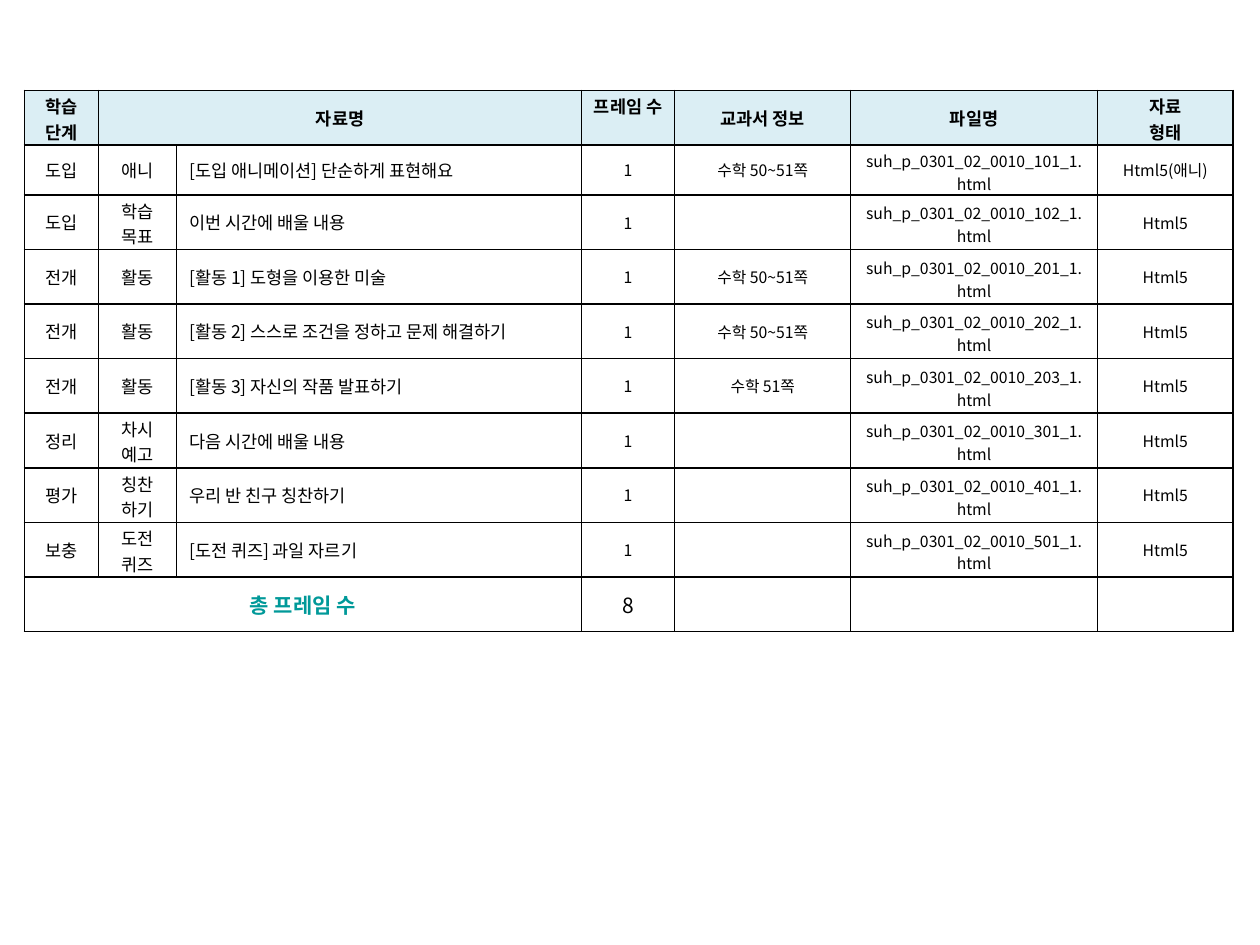
from lxml import etree
from pptx import Presentation
from pptx.dml.color import RGBColor
from pptx.enum import text
from pptx.oxml.ns import qn
from pptx.util import Cm, Pt

FONT = "Noto Sans CJK KR"
BLACK = RGBColor(0x00, 0x00, 0x00)
TEAL = RGBColor(0x00, 0x99, 0x99)
PALE_BLUE = RGBColor(0xDB, 0xEE, 0xF4)

COL_WIDTHS = [1.5, 1.57, 8.16, 1.88, 3.55, 4.97, 2.74]
ROW_HEIGHTS = [1.1, 1.01] + [1.1] * 8
BODY_SIZES = [10, 10, 10, 9, 9, 9, 9]
TITLE_COL, FILE_COL = 2, 5
LINE_HEIGHT = 1.46  # line height of the font, in font sizes
TOP_MARGIN = 0.13

HEADER = ["학습 단계", "자료명", "", "프레임 수", "교과서 정보", "파일명", "자료\n형태"]
TWO_LINES = {"학습 단계", "프레임 수", "학습 목표", "차시 예고"}
# Stage, kind, title, textbook pages, file number, format
LESSONS = [
    ("도입", "애니", "[도입 애니메이션] 단순하게 표현해요", "수학 50~51쪽", 101, "Html5(애니)"),
    ("도입", "학습 목표", "이번 시간에 배울 내용", "", 102, "Html5"),
    ("전개", "활동", "[활동 1] 도형을 이용한 미술", "수학 50~51쪽", 201, "Html5"),
    ("전개", "활동", "[활동 2] 스스로 조건을 정하고 문제 해결하기", "수학 50~51쪽", 202, "Html5"),
    ("전개", "활동", "[활동 3] 자신의 작품 발표하기", "수학 51쪽", 203, "Html5"),
    ("정리", "차시 예고", "다음 시간에 배울 내용", "", 301, "Html5"),
    ("평가", "칭찬\n하기", "우리 반 친구 칭찬하기", "", 401, "Html5"),
    ("보충", "도전\n퀴즈", "[도전 퀴즈] 과일 자르기", "", 501, "Html5"),
]


def set_borders(cell):
    tc_pr = cell._tc.get_or_add_tcPr()
    for i, side in enumerate(("a:lnL", "a:lnR", "a:lnT", "a:lnB")):
        ln = etree.Element(qn(side), w=str(Pt(1)))
        fill = etree.SubElement(ln, qn("a:solidFill"))
        etree.SubElement(fill, qn("a:srgbClr"), val=str(BLACK))
        tc_pr.insert(i, ln)


def fit_two_lines(cell, size, height):
    """Trim the margins so that two lines stay within the row height."""
    room = height - 2 * LINE_HEIGHT * Pt(size).cm
    cell.vertical_anchor = text.MSO_ANCHOR.TOP
    cell.margin_top = Cm(max(0, min(TOP_MARGIN, room)))
    cell.margin_bottom = 0


def write_cell(cell, value, size, bold=False, color=BLACK, align=text.PP_ALIGN.CENTER):
    cell.vertical_anchor = text.MSO_ANCHOR.MIDDLE
    cell.text_frame.text = value
    for p in cell.text_frame.paragraphs:
        p.alignment = align
        p.font.size = Pt(size)
        p.font.bold = bold
        p.font.color.rgb = color
        p.font.name = FONT
        # East Asian typeface for the Korean text
        latin = p._p.pPr.find(qn("a:defRPr")).find(qn("a:latin"))
        latin.addnext(etree.Element(qn("a:ea"), typeface=FONT))


def add_lesson_table(s, left, top):
    frame = s.shapes.add_table(len(ROW_HEIGHTS), len(COL_WIDTHS), left, top,
                               Cm(sum(COL_WIDTHS)), Cm(sum(ROW_HEIGHTS)))
    table = frame.table
    table.first_row = table.horz_banding = False
    for col, width in zip(table.columns, COL_WIDTHS):
        col.width = Cm(width)
    for row, height in zip(table.rows, ROW_HEIGHTS):
        row.height = Cm(height)
    for cell in table.iter_cells():
        cell.fill.background()
        set_borders(cell)

    # Header row
    for c, value in enumerate(HEADER):
        cell = table.cell(0, c)
        cell.fill.solid()
        cell.fill.fore_color.rgb = PALE_BLUE
        write_cell(cell, value, 10, bold=True)
        if value in TWO_LINES or "\n" in value:
            fit_two_lines(cell, 10, ROW_HEIGHTS[0])
    table.cell(0, 1).merge(table.cell(0, 2))

    # One row for each lesson file
    for r, (stage, kind, title, pages, number, form) in enumerate(LESSONS, 1):
        file_name = f"suh_p_0301_02_0010_{number}_1.html"
        values = [stage, kind, title, "1", pages, file_name, form]
        for c, (value, size) in enumerate(zip(values, BODY_SIZES)):
            align = text.PP_ALIGN.LEFT if c == TITLE_COL else text.PP_ALIGN.CENTER
            write_cell(table.cell(r, c), value, size, align=align)
            if c == FILE_COL or value in TWO_LINES or "\n" in value:
                fit_two_lines(table.cell(r, c), size, ROW_HEIGHTS[r])

    # Total row
    last = len(ROW_HEIGHTS) - 1
    table.cell(last, 0).merge(table.cell(last, 2))
    write_cell(table.cell(last, 0), "총 프레임 수", 12, bold=True, color=TEAL)
    write_cell(table.cell(last, 3), str(len(LESSONS)), 12)


def main():
    prs = Presentation()
    prs.slide_width, prs.slide_height = Cm(25.4), Cm(19.05)
    s = prs.slides.add_slide(prs.slide_layouts[6])
    add_lesson_table(s, Cm(0.49), Cm(1.82))
    prs.save("out.pptx")


if __name__ == "__main__":
    main()
